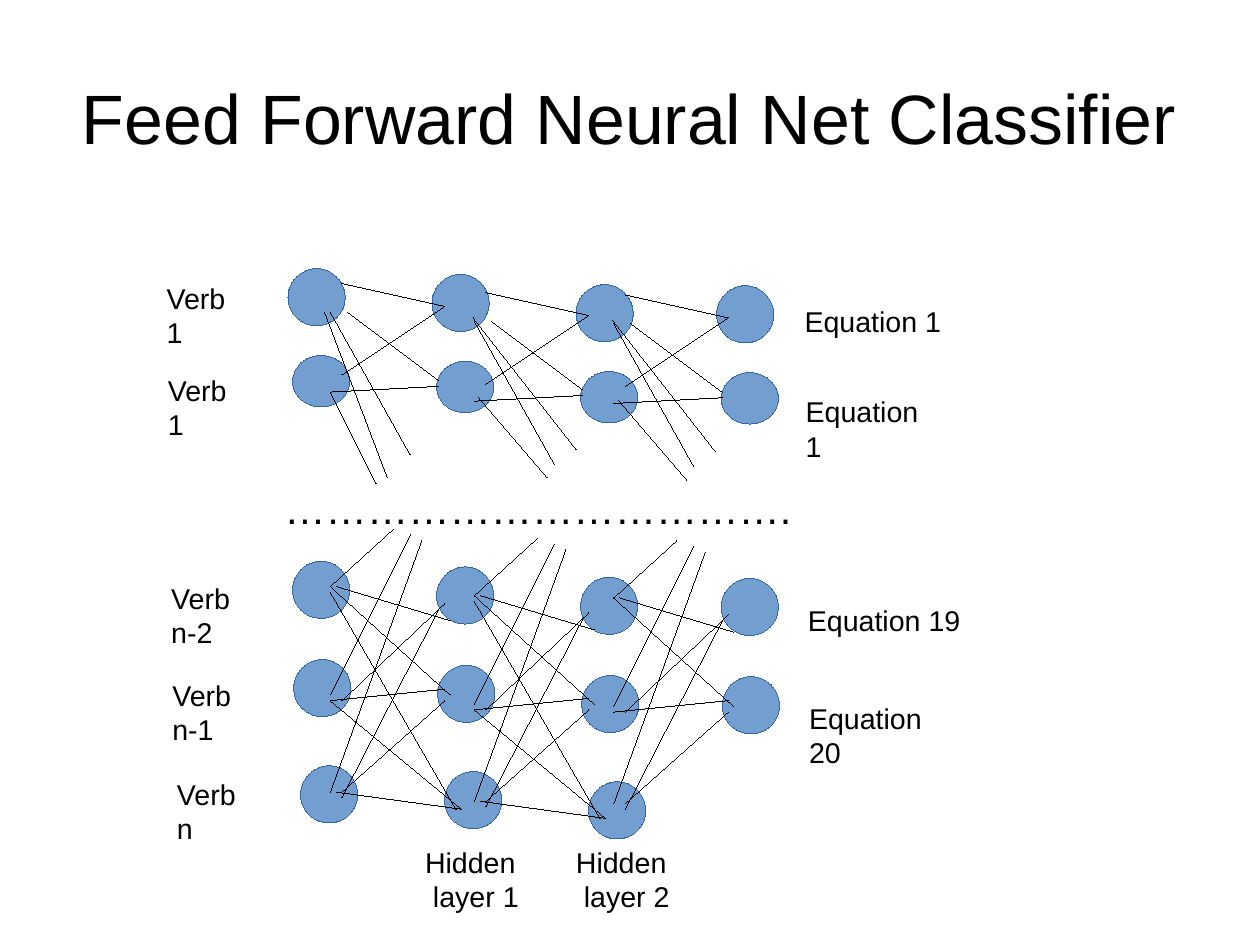
from lxml.etree import SubElement
from pptx import Presentation
from pptx.dml.color import RGBColor
from pptx.enum.shapes import MSO_CONNECTOR, MSO_SHAPE
from pptx.enum.text import MSO_ANCHOR, PP_ALIGN
from pptx.oxml.ns import qn
from pptx.util import Cm, Inches, Pt

COLORS = {"text": "000000", "node": "729FCF", "outline": "3465A4", "link": "000000"}


class NetworkSlide:
    font = "Arial"

    def __init__(self, slide):
        self.shapes = slide.shapes

    def color(self, name):
        return RGBColor.from_string(COLORS[name])

    def hairline(self, shape, name):
        shape.line.color.rgb = self.color(name)
        # A zero width has to be written out, or the theme's width applies
        shape._element.spPr.find(qn("a:ln")).set("w", "0")

    def text(self, lines, left, top, width, height, size=18, wrap=True):
        box = self.shapes.add_textbox(Inches(left), Inches(top), Inches(width), Inches(height))
        frame = box.text_frame
        frame.word_wrap = wrap
        for index, line in enumerate(lines):
            paragraph = frame.paragraphs[0] if index == 0 else frame.add_paragraph()
            run = paragraph.add_run()
            run.text = line
            run.font.name = self.font
            run.font.size = Pt(size)
            run.font.color.rgb = self.color("text")
        return frame

    def title(self, words, left, top, width, height):
        frame = self.text([words], left, top, width, height, size=44)
        frame.margin_left = frame.margin_right = frame.margin_top = frame.margin_bottom = 0
        frame.vertical_anchor = MSO_ANCHOR.MIDDLE
        frame.paragraphs[0].alignment = PP_ALIGN.CENTER

    def node(self, left, top, height):
        neuron = self.shapes.add_shape(
            MSO_SHAPE.OVAL, Inches(left), Inches(top), Inches(0.5), Inches(height))
        neuron.shadow.inherit = False
        neuron.fill.solid()
        neuron.fill.fore_color.rgb = self.color("node")
        self.hairline(neuron, "outline")

    def link(self, x1, y1, x2, y2):
        edge = self.shapes.add_connector(
            MSO_CONNECTOR.STRAIGHT, Inches(x1), Inches(y1), Inches(x2), Inches(y2))
        self.hairline(edge, "link")
        SubElement(edge._element.spPr, qn("a:effectLst"))


# Input layer nodes: left, top, height
INPUT_NODES = [(2.52, 2.35, 0.5), (2.56, 3.11, 0.45), (2.56, 4.91, 0.5),
               (2.57, 5.77, 0.5), (2.63, 6.7, 0.5)]
# Each layer: shift from the input layer, number of nodes
LAYERS = [(0, 0, 5), (1.26, 0.05, 5), (2.52, 0.14, 5), (3.75, 0.15, 4)]

# Links leaving the input layer; the other layers repeat them, shifted
COMMON_LINKS = [
    (3.04, 2.73, 3.84, 3.33), (2.99, 2.48, 3.89, 2.68), (2.89, 2.73, 3.59, 3.98),
    (2.99, 3.28, 3.89, 2.68), (2.89, 3.43, 3.84, 3.38), (2.99, 6.98, 3.84, 5.33),
    (3.89, 6.13, 2.99, 6.93), (3.69, 4.73, 2.89, 6.93), (3.89, 6.03, 2.89, 6.13),
    (3.89, 5.28, 2.99, 6.13), (3.94, 6.08, 2.89, 5.13), (3.94, 5.43, 2.94, 5.13),
    (3.59, 4.68, 2.89, 6.08), (2.89, 5.13, 3.44, 4.63),
]
LAST_NODE_LINKS = [(4.04, 7.08, 2.94, 6.93), (2.89, 6.13, 4.04, 7.08), (2.89, 5.18, 3.99, 7.08)]
INPUT_TAILS = [(2.84, 2.73, 3.39, 4.18), (2.89, 3.43, 3.29, 4.23)]
HIDDEN_TAILS = [(2.88, 2.7, 3.78, 3.85), (2.93, 3.4, 3.53, 4.1)]
LINK_SETS = [
    (0, 0, COMMON_LINKS + LAST_NODE_LINKS + INPUT_TAILS),
    (1.26, 0.08, COMMON_LINKS + LAST_NODE_LINKS + HIDDEN_TAILS),
    (2.48, 0.1, COMMON_LINKS + HIDDEN_TAILS),
]

# Labels: words, left, top, width, height, wrapped
LABELS = [
    ("Verb 1", 1.36, 2.41, 0.9, 0.66, True),
    ("Verb 1", 1.37, 3.21, 0.9, 0.66, True),
    ("Verb n-2", 1.4, 5.03, 1.14, 0.66, True),
    ("Verb n-1", 1.41, 5.88, 1.14, 0.66, True),
    ("Verb n", 1.45, 6.75, 0.9, 0.66, True),
    ("Equation 1", 6.94, 2.61, 1.41, 0.38, False),
    ("Equation 1", 6.95, 3.4, 1.39, 0.66, True),
    ("Equation 19", 6.97, 5.23, 1.54, 0.38, False),
    ("Equation 20", 6.98, 6.08, 1.53, 0.66, True),
]


def main():
    deck = Presentation()
    deck.slide_width, deck.slide_height = Cm(28), Cm(21)
    network = NetworkSlide(deck.slides.add_slide(deck.slide_layouts[6]))

    network.title("Feed Forward Neural Net Classifier", 0.55, 0.33, 9.92, 1.38)

    # Neurons
    for dx, dy, count in LAYERS:
        for left, top, height in INPUT_NODES[:count]:
            network.node(left + dx, top + dy, height)

    # Links between layers
    for dx, dy, links in LINK_SETS:
        for x1, y1, x2, y2 in links:
            network.link(x1 + dx, y1 + dy, x2 + dx, y2 + dy)

    # Input and output labels
    for words, left, top, width, height, wrapped in LABELS:
        network.text([words], left, top, width, height, wrap=wrapped)

    # Omitted rows and hidden layer captions
    network.text(["……………………………….",], 2.39, 4.18, 4.95, 0.5, size=26)
    for number, left in ((1, 3.62), (2, 4.94)):
        network.text(["Hidden", f" layer {number}"], left, 7.34, 1.02, 0.66, wrap=False)

    deck.save("out.pptx")


if __name__ == "__main__":
    main()
